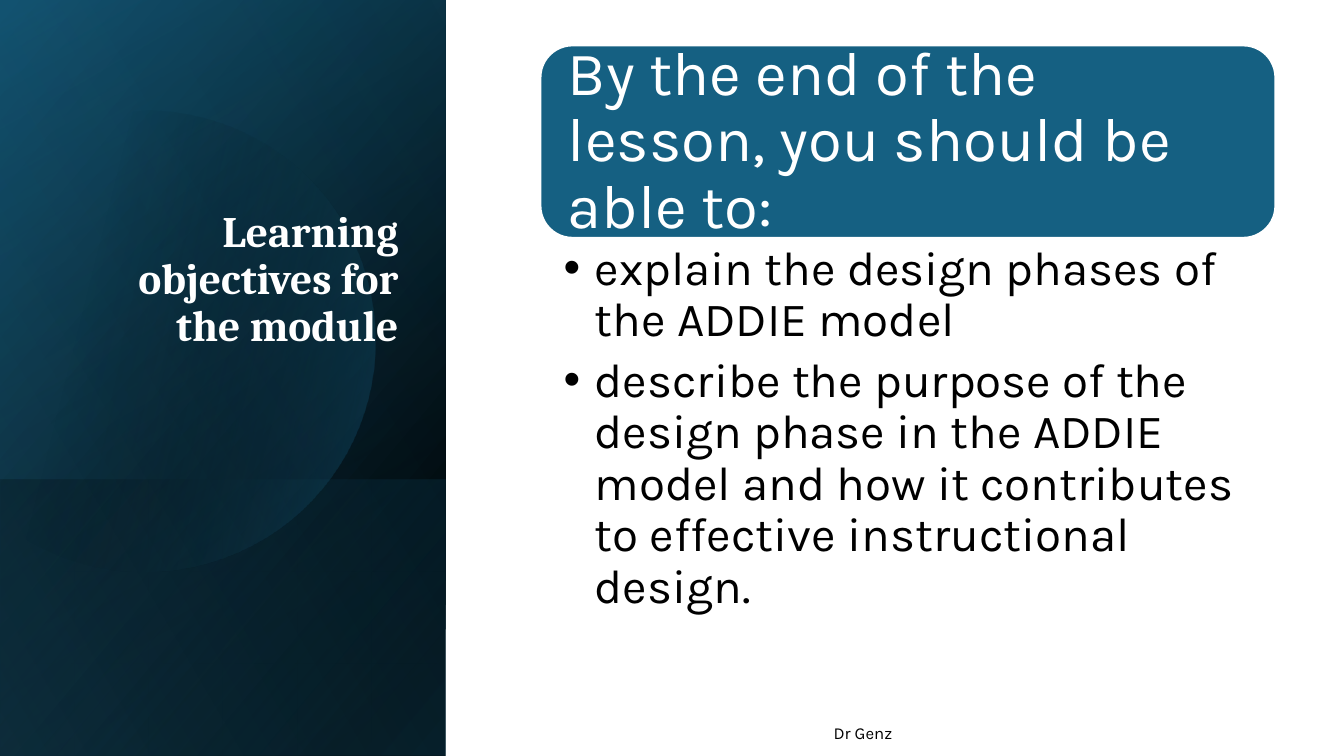
from pptx import Presentation
from pptx.dml.color import RGBColor
from pptx.enum.shapes import MSO_SHAPE
from pptx.enum.text import MSO_ANCHOR, MSO_AUTO_SIZE, PP_ALIGN
from pptx.oxml.ns import qn
from pptx.oxml.xmlchemy import OxmlElement
from pptx.util import Inches, Pt

TEAL, SKY, BLACK, WHITE = "156082", "46B1E1", "000000", "FFFFFF"


def rgb(value):
    return RGBColor.from_string(value)


def bezier(p0, p1, p2, p3, steps=24):
    """Return points along a cubic curve, without its start."""
    points = []
    for i in range(1, steps + 1):
        t = i / steps
        u = 1 - t
        weights = (u ** 3, 3 * u * u * t, 3 * u * t * t, t ** 3)
        points.append(tuple(
            sum(w * p[axis] for w, p in zip(weights, (p0, p1, p2, p3)))
            for axis in (0, 1)))
    return points


class ObjectivesSlide:
    body_font = "Karla"
    title_font = "Cambria"

    def __init__(self, prs):
        self.s = prs.slides.add_slide(prs.slide_layouts[1])

    def gradient(self, sp, stops, angle):
        """Fill with two (position %, colour, opacity %) stops, angle clockwise."""
        sp.shadow.inherit = False
        sp.line.fill.background()
        sp.fill.gradient()
        sp.fill.gradient_angle = 360 - angle
        for stop, (position, color, _) in zip(sp.fill.gradient_stops, stops):
            stop.position = position / 100
            stop.color.rgb = rgb(color)
        for clr, (_, _, opacity) in zip(sp.element.iter(qn("a:srgbClr")), stops):
            alpha = OxmlElement("a:alpha")
            alpha.set("val", str(opacity * 1000))
            clr.append(alpha)

    def panel(self, top, height, stops, angle, flip=True):
        """Add a side panel 4.42 inches wide, turned by a quarter."""
        width = 4.42
        sp = self.s.shapes.add_shape(
            MSO_SHAPE.RECTANGLE, Inches((width - height) / 2),
            Inches(top + (height - width) / 2), Inches(height), Inches(width))
        sp.rotation = 90
        if flip:
            sp.element.spPr.find(qn("a:xfrm")).set("flipH", "1")
        self.gradient(sp, stops, angle)

    def disc(self, start, curves, edge, stops, angle):
        points = [start]
        for curve in curves:
            points += bezier(points[-1], *curve)
        points = [(Inches(x), Inches(y)) for x, y in points + edge]
        builder = self.s.shapes.build_freeform(*points[0])
        builder.add_line_segments(points[1:], close=True)
        self.gradient(builder.convert_to_shape(), stops, angle)

    def place(self, sp, left, top, width, height):
        """Move a placeholder and bring it to the front."""
        sp.left, sp.top = Inches(left), Inches(top)
        sp.width, sp.height = Inches(width), Inches(height)
        self.s.shapes.element.append(sp.element)

    def set_text(self, sp, text, size, color, font=None, bold=False,
                 align=PP_ALIGN.LEFT, anchor=MSO_ANCHOR.TOP,
                 insets=(0.1, 0.05, 0.1, 0.05), spacing=0.9, after=0):
        tf = sp.text_frame
        tf.text = text
        tf.word_wrap = True
        tf.auto_size = MSO_AUTO_SIZE.NONE
        tf.vertical_anchor = anchor
        tf.margin_left, tf.margin_top, tf.margin_right, tf.margin_bottom = map(Inches, insets)
        for p in tf.paragraphs:
            p.alignment = align
            p.line_spacing = spacing
            p.space_before = Pt(0)
            p.space_after = Pt(after)
            for r in p.runs:
                r.font.name = font or self.body_font
                r.font.size = Pt(size)
                r.font.bold = bold
                r.font.color.rgb = rgb(color)

    def title(self, text, *box):
        sp = self.s.shapes.title
        self.place(sp, *box)
        self.set_text(sp, text, 31, WHITE, self.title_font, True,
                      PP_ALIGN.RIGHT, MSO_ANCHOR.BOTTOM)

    def banner(self, text, *box):
        sp = self.s.shapes.add_shape(MSO_SHAPE.ROUNDED_RECTANGLE, *map(Inches, box))
        sp.shadow.inherit = False
        sp.fill.solid()
        sp.fill.fore_color.rgb = rgb(TEAL)
        sp.line.color.rgb = rgb(WHITE)
        sp.line.width = Pt(1.5)
        self.set_text(sp, text, 44, WHITE, anchor=MSO_ANCHOR.MIDDLE, insets=(0.18,) * 4)

    def bullets(self, items, *box):
        sp = self.s.placeholders[1]
        self.place(sp, *box)
        self.set_text(sp, "\n".join(items), 34, BLACK,
                      insets=(0.23, 0.06, 0.34, 0.06), after=7)
        for p in sp.text_frame.paragraphs:
            pPr = p._p.get_or_add_pPr()
            pPr.set("marL", str(Inches(0.31)))
            pPr.set("indent", str(Inches(-0.31)))

    def footer(self, text, *box):
        sp = self.s.shapes.add_textbox(*map(Inches, box))
        self.set_text(sp, text, 12, BLACK, spacing=1)


def main():
    prs = Presentation()
    prs.slide_width, prs.slide_height = Inches(13.33), Inches(7.5)
    slide = ObjectivesSlide(prs)

    slide.panel(0, 7.5, [(8, BLACK, 100), (100, "104862", 100)], 50)
    slide.panel(0, 7.5, [(0, BLACK, 0), (99, TEAL, 46)], 30)
    slide.panel(4.76, 2.74, [(2, TEAL, 29), (100, BLACK, 30)], 130, flip=False)
    slide.disc(
        (1.49, 1.1),
        [((2.46, 1.12), (3.35, 1.77), (3.63, 2.75)),
         ((3.98, 3.97), (3.28, 5.23), (2.07, 5.58)),
         ((1.31, 5.8), (0.53, 5.61), (-0.03, 5.14))],
        [(-0.15, 5.03), (-0.15, 1.75), (0, 1.61), (0.36, 1.35), (0.8, 1.19), (1.14, 1.12)],
        [(29, BLACK, 0), (100, TEAL, 43)], 14)
    slide.panel(0, 7.5, [(0, BLACK, 0), (99, SKY, 11)], 120)

    slide.title("Learning objectives for the module", 0.64, 1.84, 3.41, 1.69)
    slide.banner("By the end of the lesson, you should be able to:", 5.36, 0.45, 7.29, 1.91)
    slide.bullets(
        ["explain the design phases of the ADDIE model",
         "describe the purpose of the design phase in the ADDIE model and how it "
         "contributes to effective instructional design."],
        5.36, 2.36, 7.29, 3.88)
    slide.footer("Dr Genz", 8.17, 7.12, 1.14, 0.3)
    prs.save("out.pptx")


if __name__ == "__main__":
    main()
